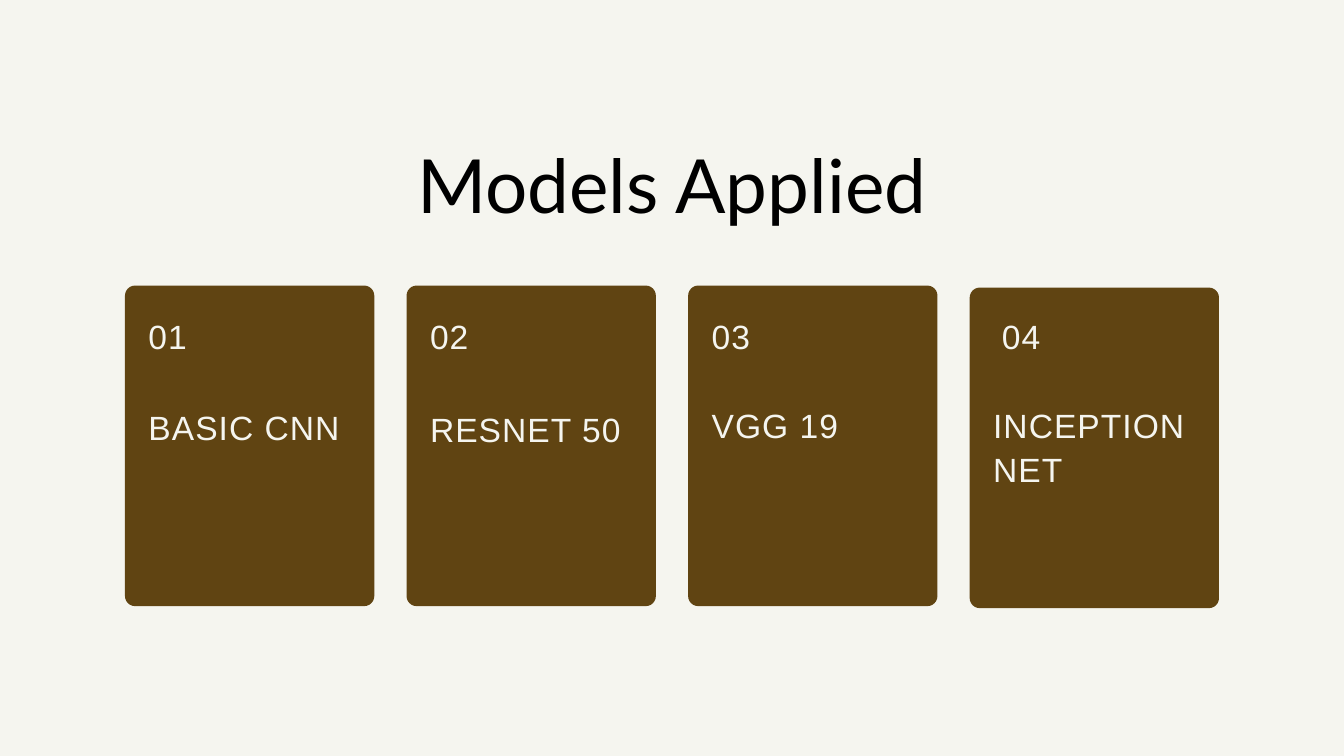
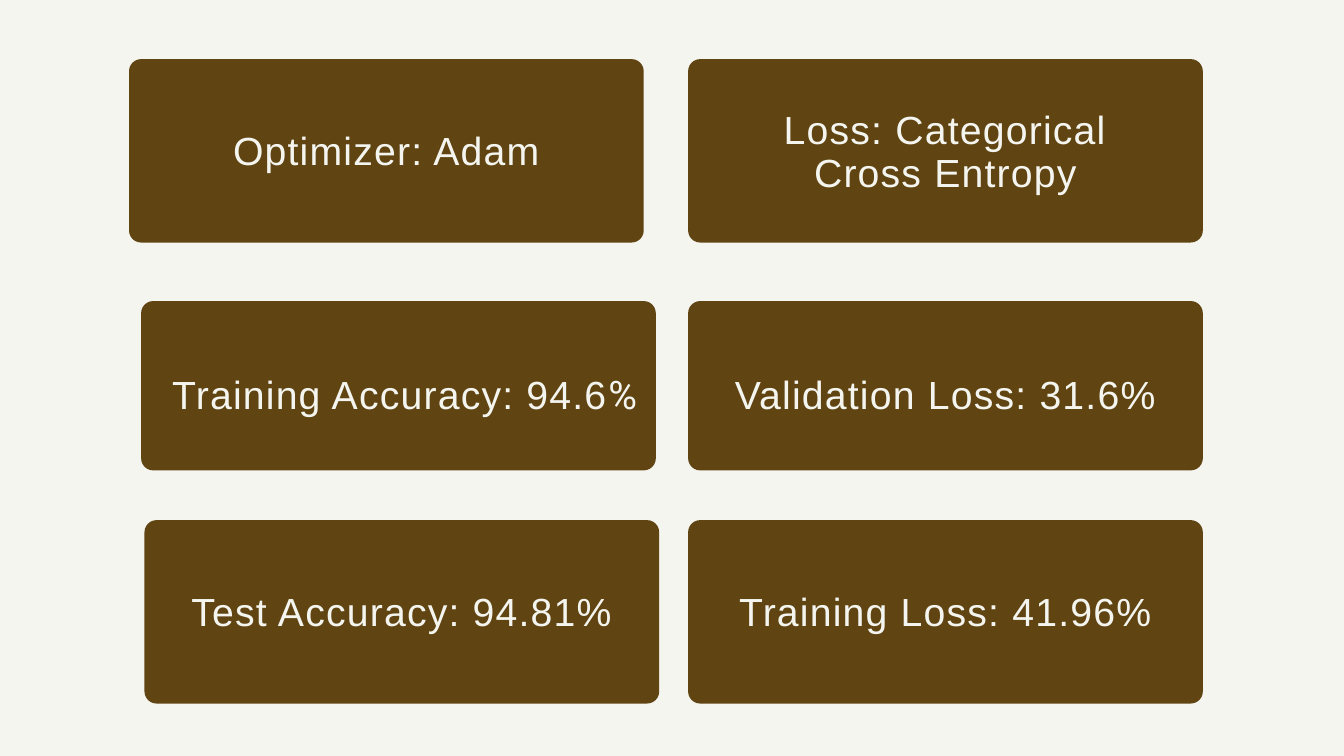
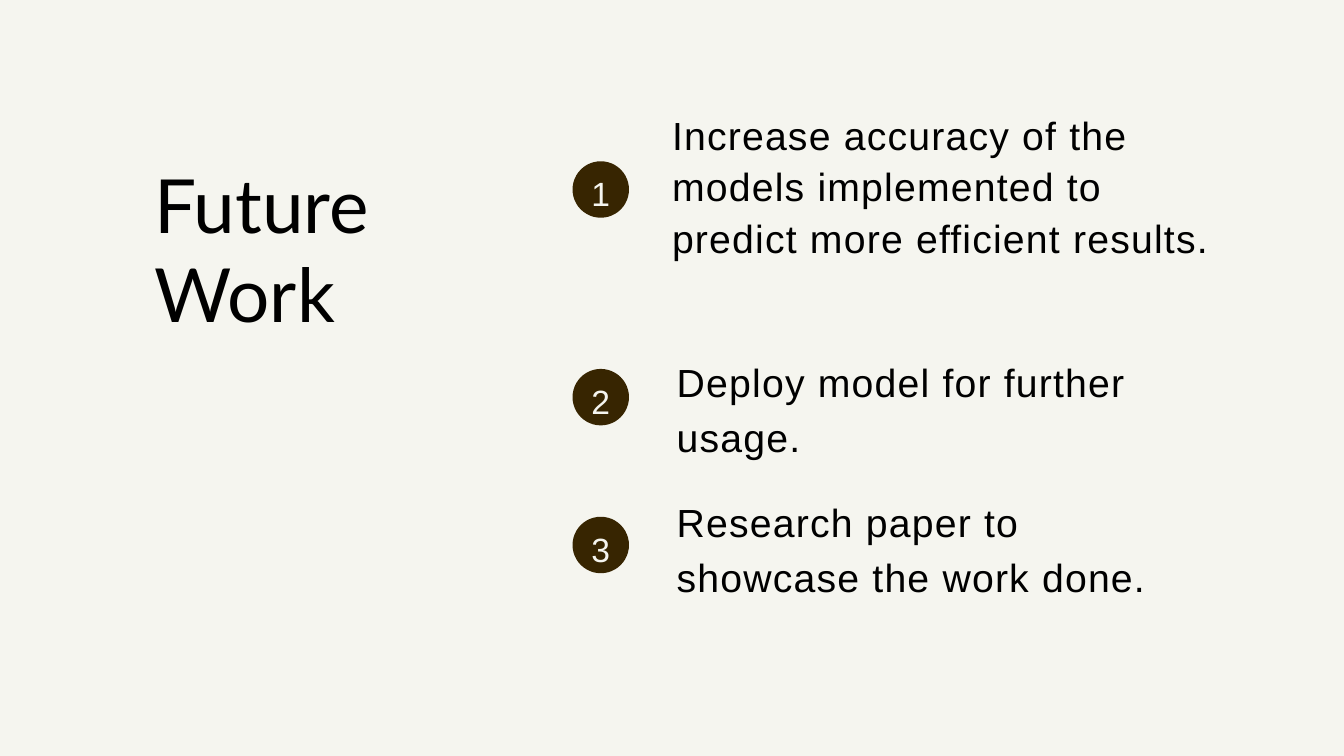
from dataclasses import dataclass, field, replace

from pptx import Presentation
from pptx.dml.color import RGBColor
from pptx.enum.shapes import MSO_SHAPE
from pptx.enum.text import MSO_ANCHOR, MSO_AUTO_SIZE, PP_ALIGN
from pptx.util import Emu, Pt

PX = 9144
TITLE_ONLY, BLANK = 5, 6


@dataclass(frozen=True)
class Style:
    font: str
    size: int
    color: str
    line: float
    spacing: int = 0
    align: PP_ALIGN = PP_ALIGN.LEFT


@dataclass(frozen=True)
class Theme:
    paper: str = "F5F5EF"
    card: str = "604412"
    badge: str = "372501"
    title: Style = field(default=Style("Lato", 80, "000000", 96))
    number: Style = field(default=Style("Arial", 36, "F5F5EF", 56.5, 110))
    model: Style = field(default=Style("Arial", 36, "F5F5EF", 46.8, 110))
    metric: Style = field(default=Style("Arial", 42, "F5F5EF", 46.2, 130, PP_ALIGN.CENTER))
    percent: Style = field(default=Style("Roboto", 42, "F5F5EF", 46.2, 40))
    task: Style = field(default=Style("Arial", 42, "000000", 55.4, 130))


THEME = Theme()


def px(*values):
    return [Emu(v * PX) for v in values]


def set_all(target, values):
    for name, value in values.items():
        setattr(target, name, value)


def add_run(p, text, style):
    r = p.add_run()
    r.text = text
    set_all(r.font, {"name": style.font, "size": Pt(style.size)})
    r.font.color.rgb = RGBColor.from_string(style.color)
    if style.spacing:
        r.font._element.set("spc", str(style.spacing))


def write(sp, text, style):
    tf = sp.text_frame
    set_all(tf, {
        "word_wrap": True, "auto_size": MSO_AUTO_SIZE.NONE,
        "vertical_anchor": MSO_ANCHOR.TOP,
        "margin_left": 0, "margin_top": 0, "margin_right": 0, "margin_bottom": 0,
    })
    p = tf.paragraphs[0]
    set_all(p, {"alignment": style.align, "line_spacing": Pt(style.line), "space_before": Pt(0)})
    add_run(p, text, style)
    return p


def add_text(s, box, text, style):
    return write(s.shapes.add_textbox(*px(*box)), text, style)


def add_title(s, box, text, align=PP_ALIGN.LEFT):
    sp = s.shapes.title
    set_all(sp, dict(zip(("left", "top", "width", "height"), px(*box))))
    write(sp, text, replace(THEME.title, align=align))


def add_filled(s, kind, box, color):
    sp = s.shapes.add_shape(kind, *px(*box))
    sp.shadow.inherit = False
    sp.fill.solid()
    sp.fill.fore_color.rgb = RGBColor.from_string(color)
    sp.line.fill.background()
    return sp


def add_card(s, box, radius):
    sp = add_filled(s, MSO_SHAPE.ROUNDED_RECTANGLE, box, THEME.card)
    sp.adjustments[0] = radius / min(box[2:])


def add_badge(s, top, number):
    add_filled(s, MSO_SHAPE.OVAL, (852, top, 84, 84), THEME.badge)
    add_text(s, (864, top - 1, 60, 73), number, replace(THEME.number, align=PP_ALIGN.CENTER))


def build_models(prs):
    s = prs.slides.add_slide(prs.slide_layouts[TITLE_ONLY])
    add_title(s, (406, 206, 1188, 135), "Models Applied", PP_ALIGN.CENTER)
    models = [
        ("BASIC CNN", 425, 601, 35),
        ("RESNET 50", 425, 603, 35),
        ("VGG 19", 425, 598, 35),
        ("INCEPTION NET", 428, 598, 48),
    ]
    for i, (name, top, name_top, number_inset) in enumerate(models):
        left = 186 + 419 * i
        add_card(s, (left, top, 371, 477), 15)
        add_text(s, (left + number_inset, 451, 80, 73), f"{i + 1:02d}", THEME.number)
        add_text(s, (left + 35, name_top, 297, 127), name, THEME.model)


def build_metrics(prs):
    s = prs.slides.add_slide(prs.slide_layouts[BLANK])
    rows = [
        (88, 273, [(192, 59, 194, "Optimizer: Adam"),
                   (1024, 59, 162, "Loss: Categorical Cross Entropy")]),
        (448, 252, [(210, -18, 557, "Training Accuracy: 94.6"),
                    (1024, 0, 557, "Validation Loss: 31.6%")]),
        (774, 273, [(215, 46, 880, "Test Accuracy: 94.81%"),
                    (1024, 59, 880, "Training Loss: 41.96%")]),
    ]
    for top, height, cards in rows:
        for left, inset, text_top, text in cards:
            add_card(s, (left, top, 766, height), 18)
            width = 820 if inset < 0 else 766 - 2 * inset
            p = add_text(s, (left + inset, text_top, width, 129), text, THEME.metric)
            if text.startswith("Training Accuracy"):
                add_run(p, "%", THEME.percent)


def build_future(prs):
    s = prs.slides.add_slide(prs.slide_layouts[TITLE_ONLY])
    add_title(s, (230, 236, 466, 269), "Future Work")
    tasks = [
        (240, (1000, 158, 801, 302), 55.4,
         "Increase accuracy of the models implemented to predict more efficient results."),
        (549, (1007, 521, 801, 160), 59.2, "Deploy model for further usage."),
        (769, (1007, 730, 801, 159), 58.8, "Research paper to showcase the work done."),
    ]
    for number, (top, box, line, text) in enumerate(tasks, 1):
        add_badge(s, top, str(number))
        add_text(s, box, text, replace(THEME.task, line=line))


def main():
    prs = Presentation()
    set_all(prs, dict(zip(("slide_width", "slide_height"), px(2000, 1125))))
    fill = prs.slide_master.background.fill
    fill.solid()
    fill.fore_color.rgb = RGBColor.from_string(THEME.paper)
    for build in (build_models, build_metrics, build_future):
        build(prs)
    prs.save("out.pptx")


if __name__ == "__main__":
    main()
